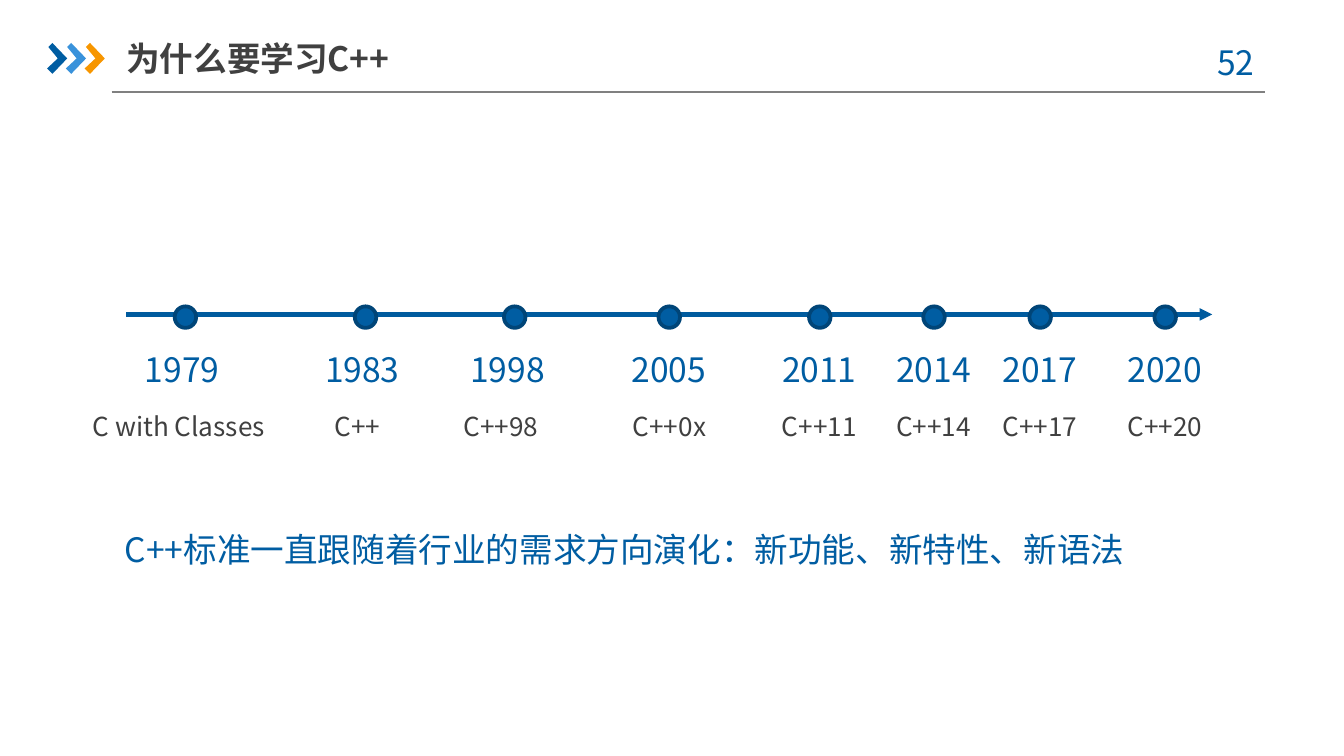
from dataclasses import dataclass

from lxml.etree import SubElement
from pptx import Presentation
from pptx.dml.color import RGBColor
from pptx.enum.shapes import MSO_CONNECTOR, MSO_SHAPE
from pptx.enum.text import MSO_ANCHOR, PP_ALIGN
from pptx.oxml.ns import qn
from pptx.util import Inches, Pt


@dataclass(frozen=True)
class Theme:
    font: str = "Noto Sans CJK SC"
    blue: RGBColor = RGBColor(0x00, 0x5D, 0xA2)
    axis: RGBColor = RGBColor(0x00, 0x5B, 0x9E)
    navy: RGBColor = RGBColor(0x00, 0x45, 0x78)
    sky: RGBColor = RGBColor(0x39, 0x92, 0xDB)
    orange: RGBColor = RGBColor(0xF7, 0x96, 0x00)
    grey: RGBColor = RGBColor(0x80, 0x80, 0x80)
    dark: RGBColor = RGBColor(0x40, 0x40, 0x40)
    large: Pt = Pt(18)
    small: Pt = Pt(14)


theme = Theme()
presentation = Presentation()
presentation.slide_width = Inches(10)
presentation.slide_height = presentation.slide_width * 9 // 16
slide = presentation.slides.add_slide(presentation.slide_layouts[6])
shapes = slide.shapes

# The slide is a grid of square cells, 100 columns wide.
CELL = presentation.slide_width // 100


def add_text(text, column, row, columns, rows, size, color, spacing=1.5):
    """Add one unwrapped line of text at a grid position; return its shape."""
    box = shapes.add_textbox(*(round(cells * CELL) for cells in (column, row, columns, rows)))
    box.text_frame.word_wrap = False
    box.text_frame.text = text
    paragraph = box.text_frame.paragraphs[0]
    paragraph.line_spacing = spacing
    font = paragraph.runs[0].font
    font.name, font.size, font.color.rgb = theme.font, size, color
    SubElement(font._element, qn("a:ea")).set("typeface", theme.font)
    return box


def add_line(start, end, row, color, width):
    line = shapes.add_connector(
        MSO_CONNECTOR.STRAIGHT,
        round(start * CELL), round(row * CELL), round(end * CELL), round(row * CELL),
    )
    line.line.color.rgb = color
    line.line.width = width
    SubElement(line._element.spPr, qn("a:effectLst"))
    return line


# Header: rule, three chevrons, title and page number
add_line(8.3, 94.1, 6.84, theme.grey, Pt(0.75))

CHEVRON = [(0.1, 0.3), (0.4, 0), (1.5, 1.15), (0.4, 2.3), (0, 1.9), (0.8, 1.15)]
for index, color in enumerate((theme.blue, theme.sky, theme.orange)):
    left, top = 3.5 + 1.4 * index, 3.2
    points = [(round((left + x) * CELL), round((top + y) * CELL)) for x, y in CHEVRON]
    builder = shapes.build_freeform(*points[0])
    builder.add_line_segments(points[1:], close=True)
    chevron = builder.convert_to_shape()
    chevron.shadow.inherit = False
    chevron.fill.solid()
    chevron.fill.fore_color.rgb = color
    chevron.line.fill.background()

page_number = add_text("52", 88.3, 2.6, 7.3, 4, theme.large, theme.blue, spacing=1)
page_number.text_frame.word_wrap = True
page_number.text_frame.paragraphs[0].alignment = PP_ALIGN.CENTER

title = add_text("为什么要学习C++", 9.4, 2.2, 23.3, 4.2, theme.large, theme.dark, spacing=1)
title.text_frame.vertical_anchor = MSO_ANCHOR.MIDDLE
title.text_frame.margin_left = title.text_frame.margin_right = 0
title.text_frame.paragraphs[0].runs[0].font.bold = True

# Timeline: arrow, then a dot, a year and a version for each milestone
arrow = add_line(9.4, 90.2, 23.4, theme.axis, Pt(2.25))
SubElement(arrow.line._get_or_add_ln(), qn("a:tailEnd")).set("type", "triangle")

# year, version, columns of the dot, year and version, width of the version
MILESTONES = [
    ("1979", "C with Classes", 13, 9.8, 5.9, 15.3),
    ("1983", "C++", 26.4, 23.2, 23.9, 6.2),
    ("1998", "C++98", 37.5, 34, 33.5, 8.6),
    ("2005", "C++0x", 49, 46, 46.1, 8.4),
    ("2011", "C++11", 60.2, 57.2, 57.2, 8.6),
    ("2014", "C++14", 68.7, 65.7, 65.7, 8.6),
    ("2017", "C++17", 76.6, 73.6, 73.6, 8.6),
    ("2020", "C++20", 85.9, 82.9, 82.9, 8.6),
]
DOT = round(1.6 * CELL)
for year, version, dot_column, year_column, version_column, version_width in MILESTONES:
    dot = shapes.add_shape(
        MSO_SHAPE.OVAL, round(dot_column * CELL), round(22.8 * CELL), DOT, DOT
    )
    dot.shadow.inherit = False
    dot.fill.solid()
    dot.fill.fore_color.rgb = theme.blue
    dot.line.color.rgb = theme.navy
    dot.line.width = Pt(2)
    add_text(year, year_column, 24, 7.9, 5, theme.large, theme.blue)
    add_text(version, version_column, 28.9, version_width, 4.1, theme.small, theme.dark)

# Conclusion
add_text(
    "C++标准一直跟随着行业的需求方向演化：新功能、新特性、新语法",
    8.3, 37.4, 78.1, 5, theme.large, theme.blue,
)

presentation.save("out.pptx")
